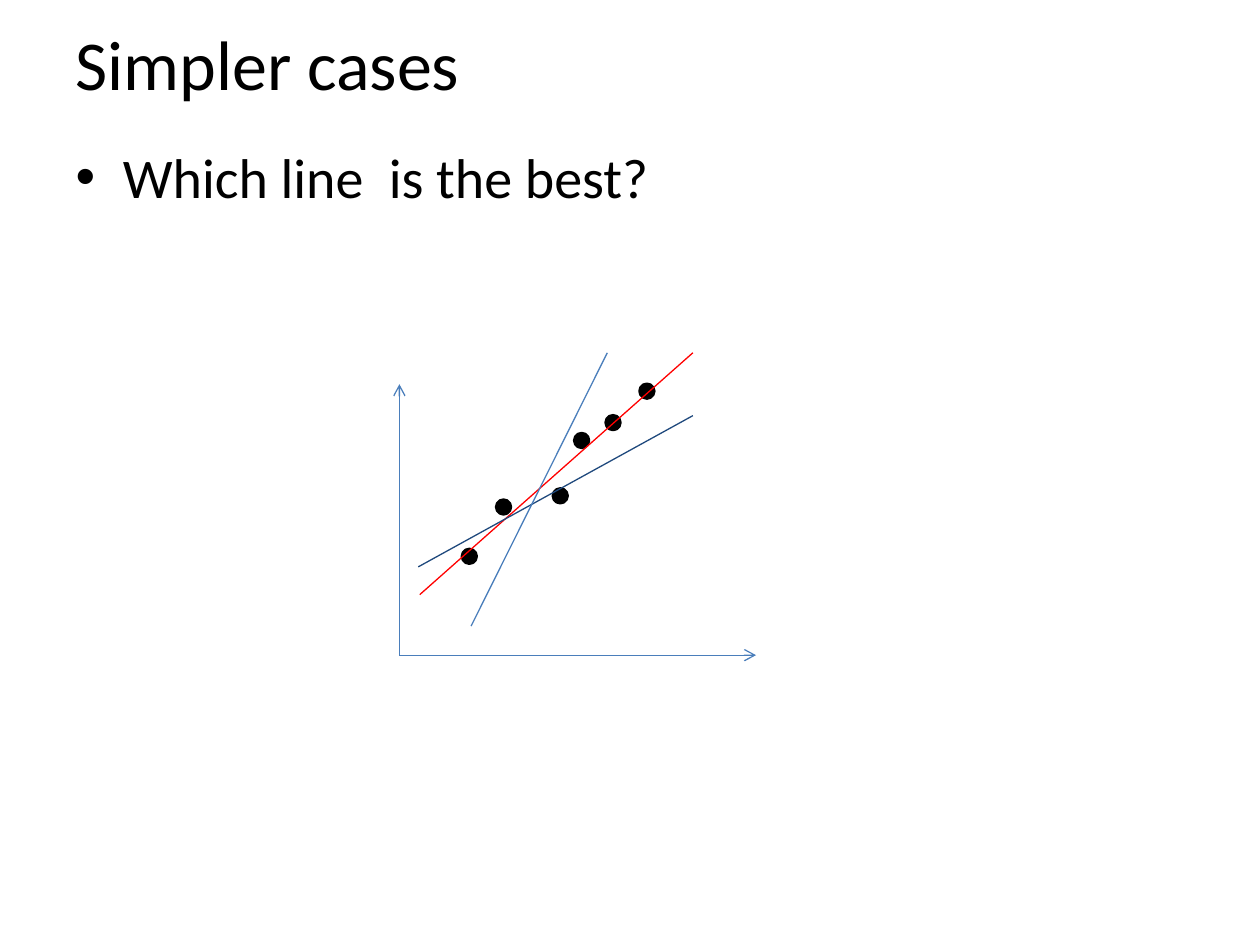
from lxml import etree
from pptx import Presentation
from pptx.dml.color import RGBColor
from pptx.enum.shapes import MSO_CONNECTOR, MSO_SHAPE
from pptx.enum.text import MSO_ANCHOR, PP_ALIGN
from pptx.oxml.ns import qn
from pptx.util import Inches, Pt

STRAIGHT = MSO_CONNECTOR.STRAIGHT
OVAL = MSO_SHAPE.OVAL
MIDDLE, TOP, LEFT = MSO_ANCHOR.MIDDLE, MSO_ANCHOR.TOP, PP_ALIGN.LEFT

WIDTH, HEIGHT = 10, 7.5
FONT = "Calibri"
HUES = {"ink": "000000", "blue": "4A7EBB", "navy": "1F497D", "red": "FF0000"}
DOT = 0.11

# Plot places are percentages of its box, from the lower left corner
AXES = [(100, 0), (0, 89.6)]
DOTS = [(29.2, 49), (45.1, 52.7), (59.9, 76.9),
        (19.6, 32.7), (69.4, 87.3), (51.1, 71)]
FITS = [
    ("red", (5.7, 20), (82.3, 100)),
    ("navy", (5.3, 29.2), (82.3, 79.2)),
    ("blue", (20.1, 9.6), (58.3, 100)),
]


def tint(name):
    return RGBColor.from_string(HUES[name])


def write(holder, box, text, size, anchor):
    """Fill a placeholder with one paragraph inside the box."""
    holder.left, holder.top, holder.width, holder.height = map(Inches, box)
    frame = holder.text_frame
    frame.text = text
    frame.word_wrap = True
    frame.vertical_anchor = anchor
    para = frame.paragraphs[0]
    para.alignment = LEFT
    para.space_before = Pt(0)
    para.font.name = FONT
    para.font.size = Pt(size)
    para.font.color.rgb = tint("ink")


def rule(slide, start, end, hue, arrow=False):
    """Draw a thin straight line, with an open arrowhead if asked."""
    line = slide.shapes.add_connector(
        STRAIGHT, *map(Inches, (*start, *end)))
    line.line.color.rgb = tint(hue)
    line.line.width = Pt(0.75)
    if arrow:
        stroke = line.line._get_or_add_ln()
        etree.SubElement(stroke, qn("a:tailEnd"), type="arrow")
    etree.SubElement(line._element.spPr, qn("a:effectLst"))


def plot(slide, box):
    """Draw axes, data dots and candidate lines inside the box."""
    left, top, wide, high = box

    def place(spot):
        x, y = spot
        return left + wide * x / 100, top + high * (1 - y / 100)

    # Axes
    for tip in AXES:
        rule(slide, place((0, 0)), place(tip), "blue", arrow=True)

    # Data dots
    for spot in DOTS:
        x, y = place(spot)
        dot = slide.shapes.add_shape(
            OVAL, Inches(x - DOT / 2), Inches(y - DOT / 2),
            Inches(DOT), Inches(DOT))
        dot.shadow.inherit = False
        dot.fill.solid()
        dot.fill.fore_color.rgb = tint("ink")
        dot.line.color.rgb = tint("ink")
        dot.line.width = Pt(2)

    # Candidate lines
    for hue, start, end in FITS:
        rule(slide, place(start), place(end), hue)


def main():
    deck = Presentation()
    deck.slide_width, deck.slide_height = Inches(WIDTH), Inches(HEIGHT)
    slide = deck.slides.add_slide(deck.slide_layouts[1])
    edge, span = 0.05 * WIDTH, 0.9 * WIDTH
    write(slide.shapes.title, (edge, 0, span, 1),
          "Simpler cases", 40, MIDDLE)
    write(slide.placeholders[1], (edge, 1.08, span, 0.75 * HEIGHT),
          "Which line  is the best?", 32, TOP)
    plot(slide, (3.17, 2.8, 2.83, 2.4))
    deck.save("out.pptx")


if __name__ == "__main__":
    main()
